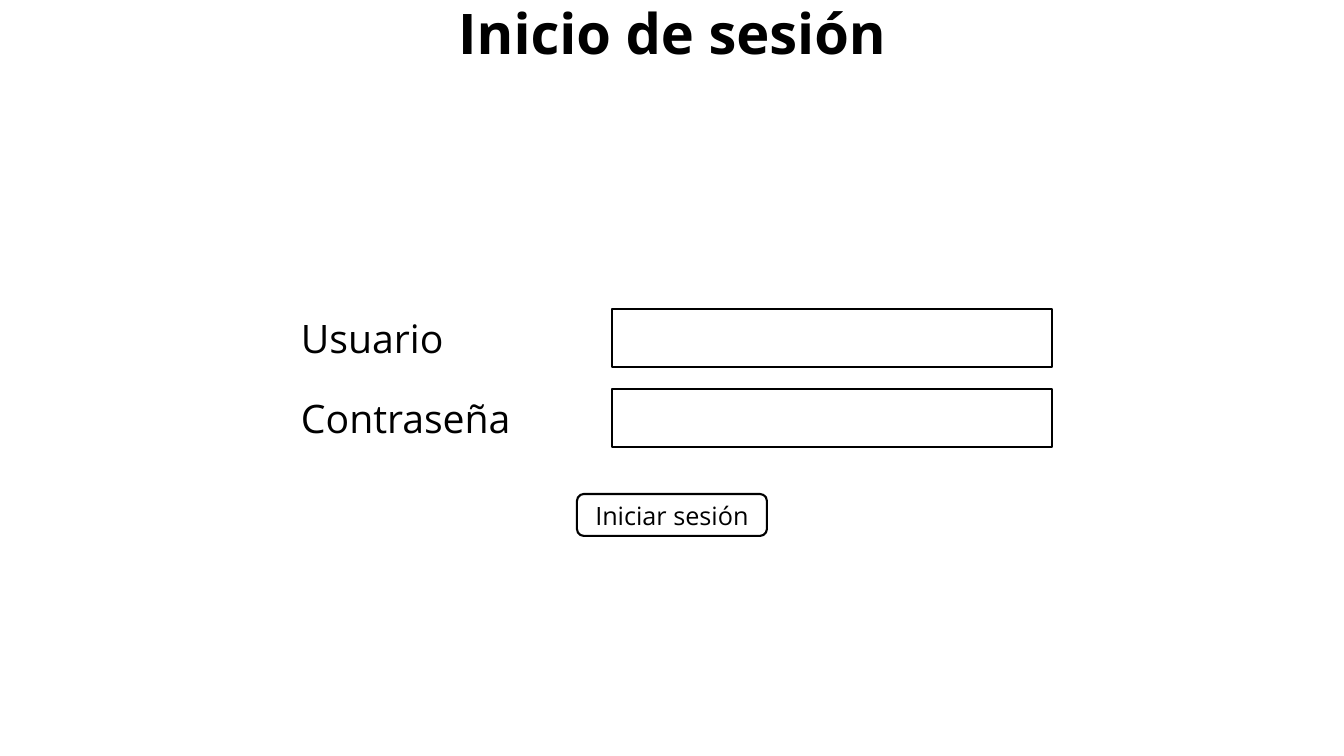
from pptx import Presentation
from pptx.dml.color import RGBColor
from pptx.enum.shapes import MSO_SHAPE as Shape
from pptx.enum.text import MSO_ANCHOR as Anchor, MSO_AUTO_SIZE as AutoSize, PP_ALIGN as Align
from pptx.util import Pt

TITLE = "Inicio de sesión"
FIELDS = ["Usuario", "Contraseña"]
BUTTON = "Iniciar sesión"

FONT = "Open Sans"
BLACK = RGBColor(0, 0, 0)
WHITE = RGBColor(255, 255, 255)

PX = 914400 / 100.8
PAGE_W, PAGE_H = 1344, 756
TITLE_W, TITLE_H = 1008, 72
LABEL_X, FIELD_X = 291, 612
FIELD_W, FIELD_H = 440, 58
FIELD_TOP, FIELD_STEP = 309, 80
BUTTON_W, BUTTON_H, BUTTON_TOP = 190, 42, 494


def scaled(*lengths):
    return [round(length * PX) for length in lengths]


def write(shape, text, size, align=Align.LEFT, bold=False):
    frame = shape.text_frame
    frame.text = text
    para = frame.paragraphs[0]
    para.alignment = align
    font = para.font
    font.name, font.size, font.bold = FONT, Pt(size), bold
    font.color.rgb = BLACK
    return frame


def add_outlined(page, kind, *place):
    box = page.shapes.add_shape(kind, *scaled(*place))
    box.shadow.inherit = False
    box.fill.solid()
    box.fill.fore_color.rgb = WHITE
    box.line.color.rgb = BLACK
    box.line.width = Pt(1.5)
    return box


def main():
    """Build the login form slide."""
    deck = Presentation()
    deck.slide_width, deck.slide_height = scaled(PAGE_W, PAGE_H)
    page = deck.slides.add_slide(deck.slide_layouts[5])

    title = page.shapes.title
    title.left, title.top, title.width, title.height = scaled(
        (PAGE_W - TITLE_W) / 2, 0, TITLE_W, TITLE_H)
    frame = write(title, TITLE, 40, Align.CENTER, bold=True)
    frame.vertical_anchor = Anchor.BOTTOM
    frame.auto_size = AutoSize.SHAPE_TO_FIT_TEXT
    frame.paragraphs[0].line_spacing = 0.9

    for row, name in enumerate(FIELDS):
        top = FIELD_TOP + row * FIELD_STEP
        label = page.shapes.add_textbox(*scaled(LABEL_X, top, FIELD_W, FIELD_H))
        frame = write(label, name, 28)
        frame.word_wrap = True
        frame.auto_size = AutoSize.SHAPE_TO_FIT_TEXT
        add_outlined(page, Shape.RECTANGLE, FIELD_X, top, FIELD_W, FIELD_H)

    button = add_outlined(page, Shape.ROUNDED_RECTANGLE,
                          (PAGE_W - BUTTON_W) / 2, BUTTON_TOP, BUTTON_W, BUTTON_H)
    write(button, BUTTON, 18, Align.CENTER).vertical_anchor = Anchor.MIDDLE

    deck.save("out.pptx")


if __name__ == "__main__":
    main()
